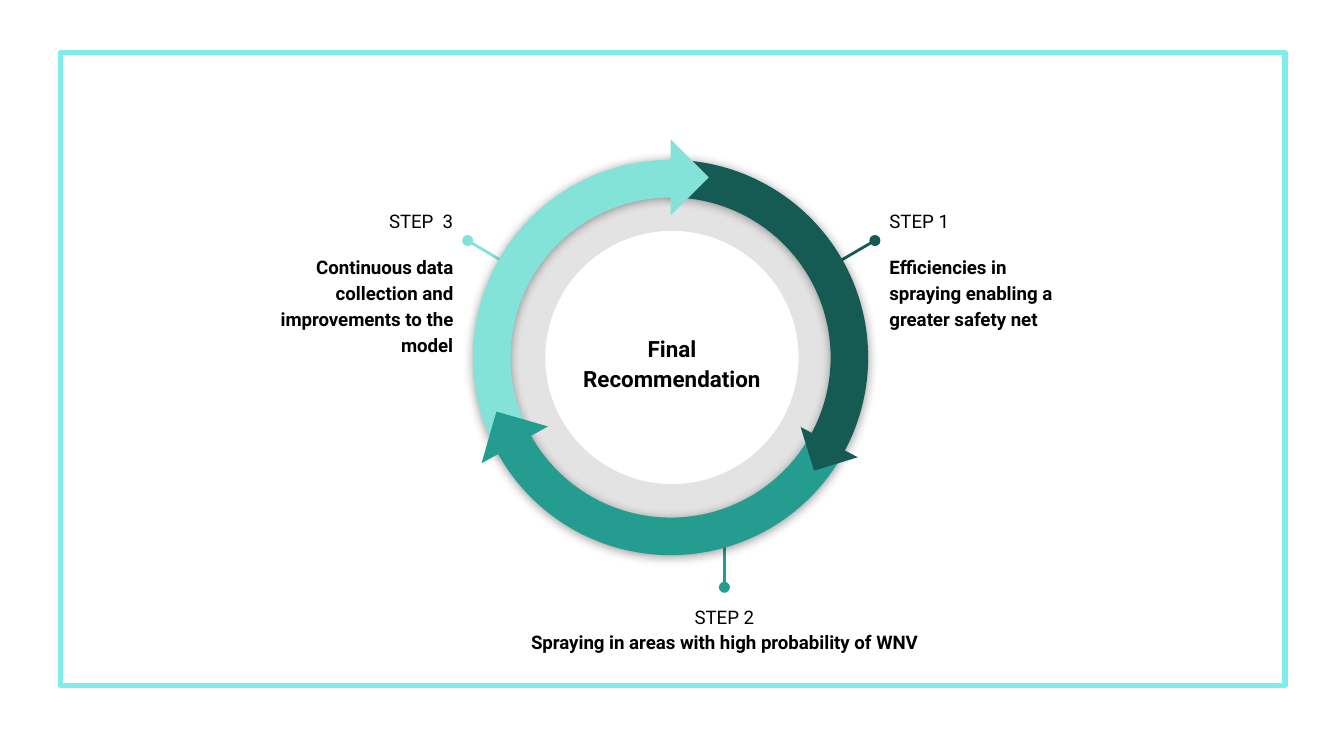
from lxml.etree import SubElement
from pptx import Presentation
from pptx.dml.color import RGBColor
from pptx.enum.shapes import MSO_CONNECTOR, MSO_SHAPE
from pptx.enum.text import MSO_ANCHOR, PP_ALIGN
from pptx.oxml.ns import qn
from pptx.util import Inches, Pt

DARK, TEAL, LIGHT, FRAME, BLACK = "155B54", "249C90", "83E3D9", "81ECEC", "000000"


def color(value):
    """Turn a hex string into a colour."""
    return RGBColor.from_string(value)


def add_filled(slide, kind, box, fill, rotation=0):
    """Add a preset shape with a plain fill and no outline."""
    shape = slide.shapes.add_shape(kind, *map(Inches, box))
    shape.shadow.inherit = False
    shape.fill.solid()
    shape.fill.fore_color.rgb = color(fill)
    shape.line.fill.background()
    shape.rotation = rotation
    return shape


def add_shadow(shape):
    """Give a shape a soft shadow that falls straight down."""
    effects = shape.element.spPr.find(qn("a:effectLst"))
    shadow = SubElement(effects, qn("a:outerShdw"), blurRad="71120", dist="10160",
                        dir="5400000", algn="t", rotWithShape="0")
    tint = SubElement(shadow, qn("a:srgbClr"), val=BLACK)
    SubElement(tint, qn("a:alpha"), val="40000")


def add_text(shapes, box, lines, align, size, gap=0, anchor=MSO_ANCHOR.TOP):
    """Add a text box from (text, bold) lines."""
    text_box = shapes.add_textbox(*map(Inches, box))
    frame = text_box.text_frame
    frame.word_wrap = True
    frame.vertical_anchor = anchor
    frame.margin_left = frame.margin_right = Inches(0.1)
    frame.margin_top = frame.margin_bottom = Inches(0.1)
    for index, (text, bold) in enumerate(lines):
        paragraph = frame.add_paragraph() if index else frame.paragraphs[0]
        paragraph.text = text
        paragraph.alignment = align
        paragraph.line_spacing = 1.15
        if index and gap:
            paragraph.space_before = Pt(gap)
        paragraph.font.name = "Roboto"
        paragraph.font.size = Pt(size)
        paragraph.font.bold = bold
        paragraph.font.color.rgb = color(BLACK)


def add_frame(slide, box):
    """Draw the outline around the slide content."""
    frame = slide.shapes.add_shape(MSO_SHAPE.RECTANGLE, *map(Inches, box))
    frame.shadow.inherit = False
    frame.fill.background()
    frame.line.color.rgb = color(FRAME)
    frame.line.width = Pt(3)
    SubElement(frame.element.spPr.find(qn("a:ln")), qn("a:round"))


def add_callout(slide, box, pin, step, text, align, tone, gap):
    """Group a step's text with a pin placed relative to its box."""
    left, top = box[:2]
    start_x, start_y, end_x, end_y = pin
    shapes = slide.shapes.add_group_shape().shapes
    line = shapes.add_connector(
        MSO_CONNECTOR.STRAIGHT, Inches(left + start_x), Inches(top + start_y),
        Inches(left + end_x), Inches(top + end_y))
    line.line.color.rgb = color(tone)
    line.line.width = Pt(1.5)
    properties = line.element.spPr
    SubElement(properties.find(qn("a:ln")), qn("a:headEnd"), type="oval")
    SubElement(properties, qn("a:effectLst"))
    add_text(shapes, box, [(step, False), (text, True)], align, 10, gap)


def add_arc(slide, box, fill, rotation, start, span):
    """Add one third of the cycle, starting at an angle before rotation."""
    arc = add_filled(slide, MSO_SHAPE.BLOCK_ARC, box, fill, rotation)
    arc.adjustments[0] = start * 0.6
    arc.adjustments[1] = (start + span) % 360 * 0.6
    arc.adjustments[2] = 0.095
    add_shadow(arc)


def add_arrowhead(slide, box, offset, size, fill, rotation):
    """Add an arrowhead at an offset from the cycle's corner."""
    place = (box[0] + offset[0], box[1] + offset[1], size, size)
    add_filled(slide, MSO_SHAPE.RIGHT_TRIANGLE, place, fill, rotation)


def add_base_ring(slide, box):
    """Add the pale ring behind the cycle."""
    left, top, size, _ = box
    ring = add_filled(slide, MSO_SHAPE.DONUT,
                      (left + 0.09, top + 0.08, size - 0.16, size - 0.16), BLACK)
    ring.adjustments[0] = 0.161
    tint = ring.element.spPr.find(qn("a:solidFill")).find(qn("a:srgbClr"))
    SubElement(tint, qn("a:alpha"), val="11000")


def add_cycle(slide, box):
    """Draw the title and the three arrows that circle it."""
    left, top = box[:2]
    add_text(slide.shapes, (left + 0.69, top + 1.06, 1.58, 0.88),
             [("Final Recommendation", True)], PP_ALIGN.CENTER, 12,
             anchor=MSO_ANCHOR.MIDDLE)
    add_arc(slide, box, DARK, 30, 240, 120)
    add_arc(slide, box, LIGHT, 330, 181, 121)
    add_arrowhead(slide, box, (1.27, -0.07), 0.4, LIGHT, 225)
    add_arc(slide, box, TEAL, 210, 181, 121)
    add_arrowhead(slide, box, (2.48, 1.93), 0.34, DARK, 342.9)
    add_arrowhead(slide, box, (0.11, 1.92), 0.4, TEAL, 106)


def main():
    """Build the slide and save it."""
    presentation = Presentation()
    presentation.slide_width = Inches(10)
    presentation.slide_height = presentation.slide_width * 9 // 16
    slide = presentation.slides.add_slide(presentation.slide_layouts[6])
    cycle_box = (3.52, 1.19, 2.94, 2.94)
    add_frame(slide, (0.45, 0.39, 9.11, 4.71))
    add_base_ring(slide, cycle_box)
    callouts = [
        ((1.84, 1.44, 1.63, 0.73), (1.64, 0.35, 2.11, 0.63), "STEP  3",
         "Continuous data collection and improvements to the model",
         PP_ALIGN.RIGHT, LIGHT, 10.75),
        ((6.52, 1.44, 1.63, 0.73), (-0.01, 0.35, -0.49, 0.63), "STEP 1",
         "Efficiencies in spraying enabling a greater safety net",
         PP_ALIGN.LEFT, DARK, 10.75),
        ((3.61, 4.38, 3.56, 0.73), (1.78, -0.01, 1.78, -0.51), "STEP 2",
         "Spraying in areas with high probability of WNV",
         PP_ALIGN.CENTER, TEAL, 0),
    ]
    for callout in callouts:
        add_callout(slide, *callout)
    add_cycle(slide, cycle_box)
    presentation.save("out.pptx")


if __name__ == "__main__":
    main()
